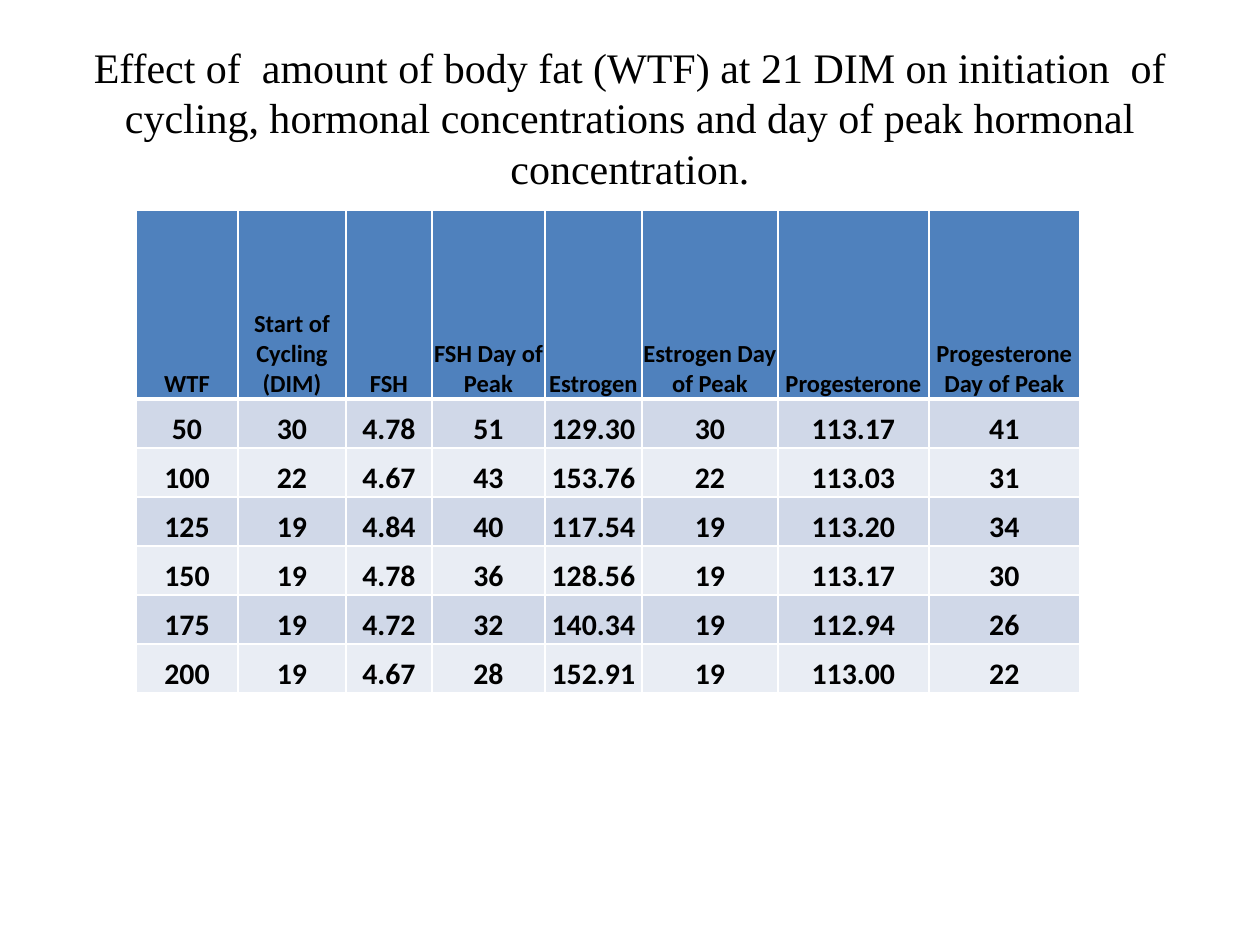
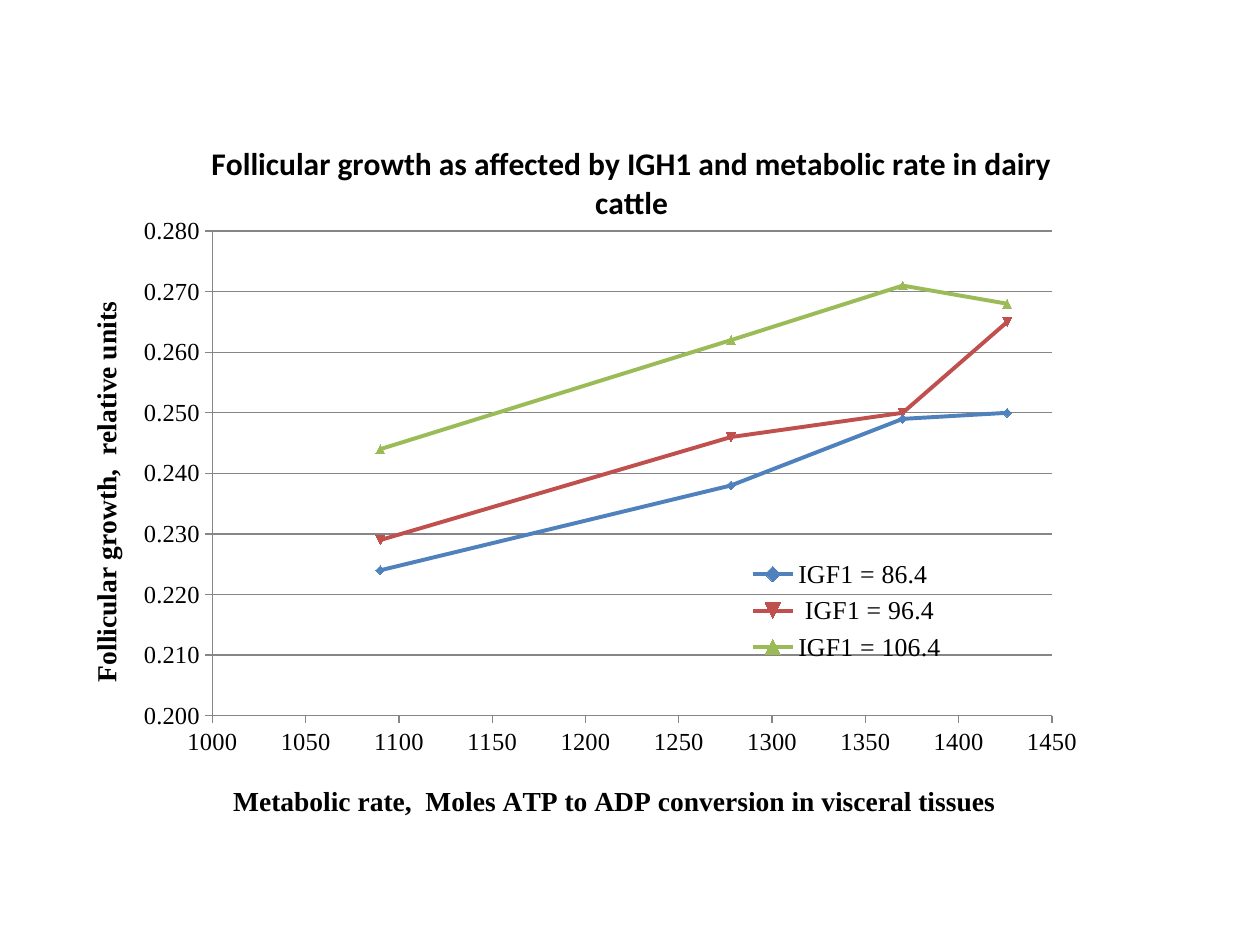
from lxml import etree
from pptx import Presentation
from pptx.chart.data import XyChartData
from pptx.dml.color import RGBColor
from pptx.enum.chart import XL_CHART_TYPE, XL_LEGEND_POSITION, XL_TICK_MARK
from pptx.enum.text import MSO_ANCHOR, PP_ALIGN
from pptx.oxml.ns import qn
from pptx.util import Emu, Pt

PIXEL = 914400 / 126
SERIF = "Times New Roman"
SANS = "Calibri"
BLACK, WHITE, GRID = "000000", "FFFFFF", "868686"
HEADER_FILL = "4F81BD"
BAND_FILLS = ("D0D8E8", "E9EDF4")

TABLE_TITLE = (
    "Effect of  amount of body fat (WTF) at 21 DIM on initiation  of cycling, "
    "hormonal concentrations and day of peak hormonal concentration."
)
TITLE_BOX = (63, 38, 1134, 158)
TABLE_ORIGIN = (136, 210)
HEADER_HEIGHT, ROW_HEIGHT = 189, 49
COLUMNS = [
    ("WTF", 102),
    ("Start of Cycling (DIM)", 108),
    ("FSH", 86),
    ("FSH Day of Peak", 113),
    ("Estrogen", 97),
    ("Estrogen Day of Peak", 136),
    ("Progesterone", 151),
    ("Progesterone Day of Peak", 151),
]
ROWS = [
    ("50", "30", "4.78", "51", "129.30", "30", "113.17", "41"),
    ("100", "22", "4.67", "43", "153.76", "22", "113.03", "31"),
    ("125", "19", "4.84", "40", "117.54", "19", "113.20", "34"),
    ("150", "19", "4.78", "36", "128.56", "19", "113.17", "30"),
    ("175", "19", "4.72", "32", "140.34", "19", "112.94", "26"),
    ("200", "19", "4.67", "28", "152.91", "19", "113.00", "22"),
]

CHART_BOX = (72, 107, 1115, 730)
CHART_TITLE = "Follicular growth as affected by IGH1 and metabolic rate in dairy cattle"
METABOLIC_TITLE = "Metabolic rate,  Moles ATP to ADP conversion in visceral tissues"
GROWTH_TITLE = "Follicular growth,  relative units"
METABOLIC_RATES = (1090, 1278, 1370, 1426)
GROWTH_SERIES = [
    ("IGF1 = 86.4", "4F81BD", (0.224, 0.238, 0.249, 0.250)),
    (" IGF1 = 96.4", "C0504D", (0.229, 0.246, 0.250, 0.265)),
    ("IGF1 = 106.4", "9BBB59", (0.244, 0.262, 0.271, 0.268)),
]


def pixels(*lengths):
    return [Emu(round(length * PIXEL)) for length in lengths]


def color(value):
    return RGBColor.from_string(value)


def style_font(font, name, size, bold=False):
    font.name, font.size, font.bold = name, Pt(size), bold
    font.color.rgb = color(BLACK)


def write_text(frame, text, name=SANS, size=14, bold=True):
    paragraph = frame.paragraphs[0]
    paragraph.alignment = PP_ALIGN.CENTER
    run = paragraph.add_run()
    run.text = text
    style_font(run.font, name, size, bold)


def set_borders(cell, **widths):
    properties = cell._tc.get_or_add_tcPr()
    for side in "LRTB":
        width = Pt(widths.get(side, 1))
        line = etree.SubElement(properties, qn(f"a:ln{side}"), w=str(width))
        fill = etree.SubElement(line, qn("a:solidFill"))
        etree.SubElement(fill, qn("a:srgbClr"), val=WHITE)


def fill_cell(cell, text, fill, size, **borders):
    cell.margin_left = cell.margin_right = cell.margin_top = cell.margin_bottom = 0
    cell.vertical_anchor = MSO_ANCHOR.BOTTOM
    set_borders(cell, **borders)
    cell.fill.solid()
    cell.fill.fore_color.rgb = color(fill)
    write_text(cell.text_frame, text, size=size)


def add_table_slide(presentation):
    slide = presentation.slides.add_slide(presentation.slide_layouts[6])
    frame = slide.shapes.add_textbox(*pixels(*TITLE_BOX)).text_frame
    frame.word_wrap = True
    frame.vertical_anchor = MSO_ANCHOR.MIDDLE
    write_text(frame, TABLE_TITLE, name=SERIF, size=24, bold=False)

    width = sum(column_width for _, column_width in COLUMNS)
    height = HEADER_HEIGHT + ROW_HEIGHT * len(ROWS)
    table = slide.shapes.add_table(
        len(ROWS) + 1, len(COLUMNS), *pixels(*TABLE_ORIGIN, width, height)
    ).table
    for row_index, row in enumerate(table.rows):
        row.height = pixels(ROW_HEIGHT if row_index else HEADER_HEIGHT)[0]
    for column_index, (heading, column_width) in enumerate(COLUMNS):
        table.columns[column_index].width = pixels(column_width)[0]
        fill_cell(table.cell(0, column_index), heading, HEADER_FILL, 14, B=3)
        for row_index, values in enumerate(ROWS):
            fill_cell(
                table.cell(row_index + 1, column_index),
                values[column_index],
                BAND_FILLS[row_index % 2],
                17,
                T=1 if row_index else 3,
            )


def place_part(element, index, **position):
    for previous in element.findall(qn("c:layout")):
        element.remove(previous)
    layout = etree.Element(qn("c:layout"))
    manual = etree.SubElement(layout, qn("c:manualLayout"))
    if "w" in position:
        etree.SubElement(manual, qn("c:layoutTarget"), val="inner")
    for key in "xy":
        etree.SubElement(manual, qn(f"c:{key}Mode"), val="edge")
    for key, value in position.items():
        etree.SubElement(manual, qn(f"c:{key}"), val=str(value))
    element.insert(index, layout)


def style_line(line, value, width):
    line.color.rgb = color(value)
    line.width = Pt(width)


def style_axis(axis, title, minimum, maximum, step, number_format, x, y):
    axis.minimum_scale, axis.maximum_scale, axis.major_unit = minimum, maximum, step
    axis.major_tick_mark = XL_TICK_MARK.OUTSIDE
    axis.tick_labels.number_format = number_format
    axis.tick_labels.number_format_is_linked = False
    style_font(axis.tick_labels.font, SERIF, 14)
    style_line(axis.format.line, GRID, 0.75)
    write_text(axis.axis_title.text_frame, title, name=SERIF, size=15.7)
    place_part(axis.axis_title._element, 1, x=x, y=y)


def add_chart_slide(presentation):
    slide = presentation.slides.add_slide(presentation.slide_layouts[6])
    chart_data = XyChartData()
    for name, _, growth_values in GROWTH_SERIES:
        series_data = chart_data.add_series(name)
        for rate, growth in zip(METABOLIC_RATES, growth_values):
            series_data.add_data_point(rate, growth)
    chart = slide.shapes.add_chart(
        XL_CHART_TYPE.XY_SCATTER_LINES, *pixels(*CHART_BOX), chart_data
    ).chart
    style_font(chart.font, SANS, 10)

    chart.has_title = True
    write_text(chart.chart_title.text_frame, CHART_TITLE, size=18)
    place_part(chart.chart_title._element, 1, x=0.12, y=0.04)
    place_part(chart._chartSpace.chart.plotArea, 0, x=0.126, y=0.17, w=0.753, h=0.664)

    style_axis(chart.category_axis, METABOLIC_TITLE, 1000, 1450, 50, "0", 0.14, 0.92)
    style_axis(chart.value_axis, GROWTH_TITLE, 0.2, 0.28, 0.01, "0.000", 0.01, 0.26)
    chart.category_axis.has_major_gridlines = False
    chart.value_axis.has_major_gridlines = True
    style_line(chart.value_axis.major_gridlines.format.line, GRID, 0.75)

    chart.has_legend = True
    chart.legend.position = XL_LEGEND_POSITION.RIGHT
    chart.legend.include_in_layout = False
    style_font(chart.legend.font, SERIF, 14.7)
    place_part(chart.legend._element, 1, x=0.6, y=0.61, w=0.19, h=0.16)

    plot = chart.plots[0]
    plot.vary_by_categories = False
    for number, (series, entry) in enumerate(zip(plot.series, GROWTH_SERIES), 1):
        series._element.idx.val = number
        series.smooth = False
        style_line(series.format.line, entry[1], 2.25)
        series.marker.format.fill.solid()
        series.marker.format.fill.fore_color.rgb = color(entry[1])


def main():
    presentation = Presentation()
    presentation.slide_width, presentation.slide_height = pixels(1260, 945)
    add_table_slide(presentation)
    add_chart_slide(presentation)
    presentation.save("out.pptx")


if __name__ == "__main__":
    main()
